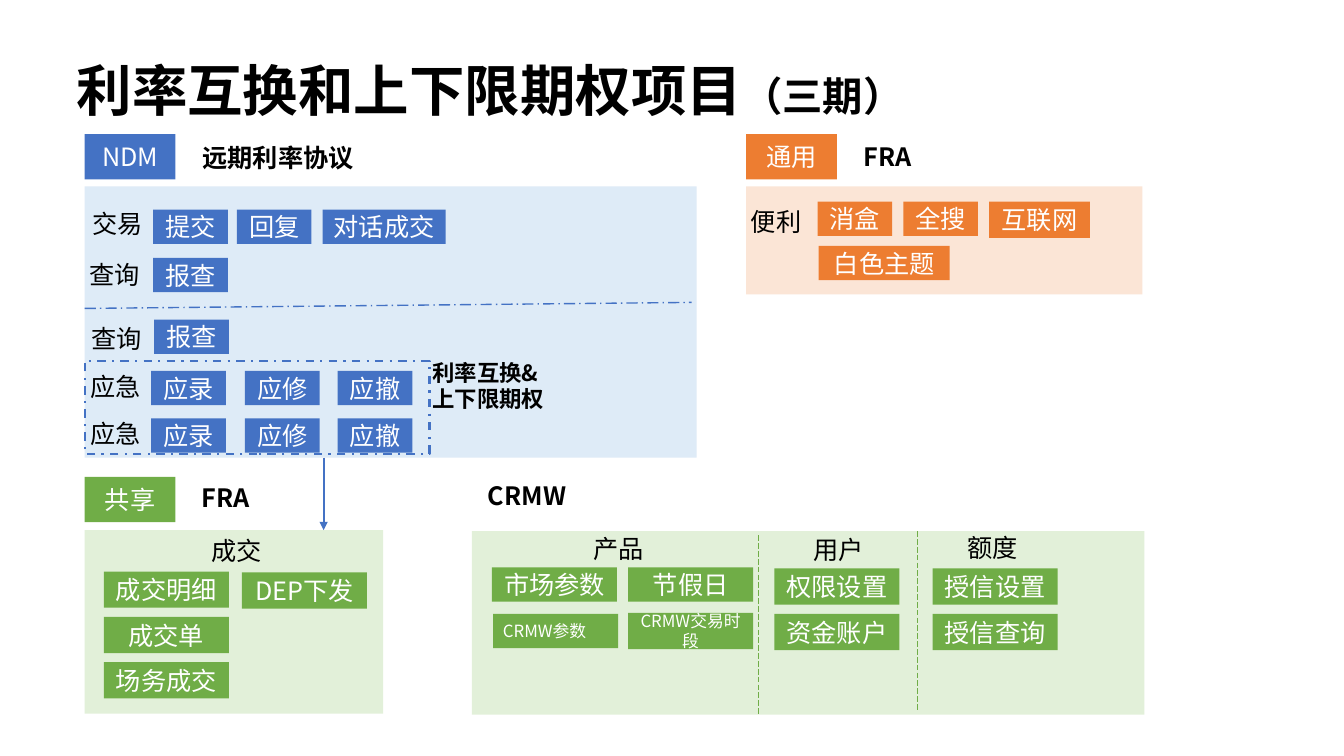
"""Builds the module overview slide for phase three of the rate swap and cap/floor project."""
import pptx
import pptx.dml.color
import pptx.enum.dml
import pptx.enum.shapes
import pptx.enum.text
import pptx.oxml
import pptx.oxml.ns
import pptx.util

Inches = pptx.util.Inches
Pt = pptx.util.Pt
RGBColor = pptx.dml.color.RGBColor
ALIGN = pptx.enum.text.PP_ALIGN
DASH = pptx.enum.dml.MSO_LINE
qn = pptx.oxml.ns.qn

BLACK = RGBColor(0x00, 0x00, 0x00)
WHITE = RGBColor(0xFF, 0xFF, 0xFF)
BLUE = RGBColor(0x44, 0x72, 0xC4)
ORANGE = RGBColor(0xED, 0x7D, 0x31)
GREEN = RGBColor(0x70, 0xAD, 0x47)
PALE_BLUE = RGBColor(0xDE, 0xEB, 0xF7)
PALE_ORANGE = RGBColor(0xFB, 0xE5, 0xD6)
PALE_GREEN = RGBColor(0xE2, 0xF0, 0xD9)


class Board:
    font = "Noto Sans CJK SC"

    def __init__(self, slide):
        self.slide = slide

    def style(self, font, size, color, bold=False):
        font.name, font.size, font.bold = self.font, Pt(size), bold
        font.color.rgb = color

    def east_asian(self, p):
        for latin in list(p._p.iter(qn("a:latin"))):
            ea = pptx.oxml.parse_xml(
                f'<a:ea {pptx.oxml.ns.nsdecls("a")} typeface="{self.font}"/>')
            latin.addnext(ea)

    def title(self, runs):
        sp = self.slide.shapes.title
        sp.left, sp.top = Inches(0.66), Inches(0.61)
        sp.width, sp.height = Inches(11.5), Inches(0.63)
        tf = sp.text_frame
        tf.auto_size = pptx.enum.text.MSO_AUTO_SIZE.NONE
        tf.vertical_anchor = pptx.enum.text.MSO_ANCHOR.MIDDLE
        p = tf.paragraphs[0]
        p.alignment, p.line_spacing = ALIGN.LEFT, 0.9
        for text, size in runs:
            r = p.add_run()
            r.text = text
            self.style(r.font, size, BLACK, True)
        self.east_asian(p)

    def rect(self, x, y, w, h, fill=None):
        sp = self.slide.shapes.add_shape(
            pptx.enum.shapes.MSO_SHAPE.RECTANGLE,
            Inches(x), Inches(y), Inches(w), Inches(h))
        sp.shadow.inherit = False
        sp.line.fill.background()
        if fill is None:
            sp.fill.background()
        else:
            sp.fill.solid()
            sp.fill.fore_color.rgb = fill
        return sp

    def frame(self, x, y, w, h, color):
        line = self.rect(x, y, w, h).line
        line.color.rgb, line.width, line.dash_style = color, Pt(1.5), DASH.DASH_DOT

    def tag(self, text, x, y, w, h, fill, size=18, align=ALIGN.CENTER):
        tf = self.rect(x, y, w, h, fill).text_frame
        tf.word_wrap = True
        tf.vertical_anchor = pptx.enum.text.MSO_ANCHOR.MIDDLE
        p = tf.paragraphs[0]
        p.text, p.alignment = text, align
        self.style(p.font, size, WHITE)
        self.east_asian(p)

    def label(self, text, x, y, w=0.71, h=0.4, size=18, bold=False):
        tf = self.slide.shapes.add_textbox(
            Inches(x), Inches(y), Inches(w), Inches(h)).text_frame
        tf.word_wrap = True
        tf.auto_size = pptx.enum.text.MSO_AUTO_SIZE.SHAPE_TO_FIT_TEXT
        p = tf.paragraphs[0]
        p.text = text
        self.style(p.font, size, BLACK, bold)
        self.east_asian(p)

    def connector(self, x1, y1, x2, y2, color, width, dash=None, arrow=False):
        cxn = self.slide.shapes.add_connector(
            pptx.enum.shapes.MSO_CONNECTOR.STRAIGHT,
            Inches(x1), Inches(y1), Inches(x2), Inches(y2))
        cxn.line.color.rgb, cxn.line.width = color, Pt(width)
        if dash is not None:
            cxn.line.dash_style = dash
        sp_pr = cxn._element.spPr
        if arrow:
            tail = pptx.oxml.ns.qn("a:tailEnd")
            sp_pr.find(qn("a:ln")).makeelement(tail)
            pptx_tail = pptx.oxml.parse_xml(
                f'<a:tailEnd {pptx.oxml.ns.nsdecls("a")} type="triangle"/>')
            sp_pr.find(qn("a:ln")).append(pptx_tail)
        sp_pr.append(pptx.oxml.parse_xml(f'<a:effectLst {pptx.oxml.ns.nsdecls("a")}/>'))


def main():
    prs = pptx.Presentation()
    prs.slide_width, prs.slide_height = Inches(13.33), Inches(7.5)
    board = Board(prs.slides.add_slide(prs.slide_layouts[5]))
    board.title([("利率互换和上下限期权项目", 39.6), ("（三期）", 28.8)])

    for panel in [(0.84, 1.85, 6.07, 2.69, PALE_BLUE), (7.4, 1.85, 3.93, 1.07, PALE_ORANGE),
                  (0.84, 5.26, 2.96, 1.82, PALE_GREEN), (4.68, 5.27, 6.67, 1.82, PALE_GREEN)]:
        board.rect(*panel)

    for text, x, y, fill in [("NDM", 0.84, 1.33, BLUE), ("通用", 7.4, 1.33, ORANGE),
                             ("共享", 0.84, 4.73, GREEN)]:
        board.tag(text, x, y, 0.9, 0.45, fill)
    for text, x, y, w in [("远期利率协议", 1.91, 1.36, 1.9), ("FRA", 8.47, 1.35, 1.9),
                          ("FRA", 1.9, 4.74, 1.49), ("CRMW", 4.74, 4.72, 1.06)]:
        board.label(text, x, y, w, bold=True)

    for text, x, y in [("交易", 0.82, 2.02), ("查询", 0.79, 2.52), ("查询", 0.81, 3.16),
                       ("应急", 0.8, 3.63), ("应急", 0.8, 4.1), ("便利", 7.35, 2),
                       ("成交", 2, 5.26), ("产品", 5.79, 5.24), ("用户", 7.97, 5.25),
                       ("额度", 9.5, 5.23)]:
        board.label(text, x, y)

    for text, x, y, w in [("提交", 1.52, 2.08, 0.74), ("回复", 2.35, 2.08, 0.74),
                          ("对话成交", 3.2, 2.08, 1.22), ("报查", 1.52, 2.56, 0.74),
                          ("报查", 1.53, 3.17, 0.74)]:
        board.tag(text, x, y, w, 0.34, BLUE)
    for y in (3.68, 4.15):
        for text, x in [("应录", 1.5), ("应修", 2.43), ("应撤", 3.35)]:
            board.tag(text, x, y, 0.74, 0.34, BLUE)

    for text, x, y, w, h in [("消盒", 8.11, 2, 0.74, 0.34), ("全搜", 8.96, 2, 0.74, 0.34),
                             ("互联网", 9.81, 2, 1, 0.36), ("白色主题", 8.12, 2.44, 1.3, 0.34)]:
        board.tag(text, x, y, w, h, ORANGE)

    green_columns = [(1.03, 5.67, ["成交明细", "成交单", "场务成交"]), (2.4, 5.68, ["DEP下发"]),
                     (7.68, 5.64, ["权限设置", "资金账户"]), (9.25, 5.64, ["授信设置", "授信查询"])]
    for x, top, names in green_columns:
        for row, text in enumerate(names):
            board.tag(text, x, top + 0.45 * row, 1.24, 0.36, GREEN)
    board.tag("市场参数", 4.88, 5.63, 1.24, 0.34, GREEN)
    board.tag("节假日", 6.23, 5.63, 1.24, 0.34, GREEN)
    board.tag("CRMW参数", 4.89, 6.09, 1.24, 0.34, GREEN, 12, ALIGN.JUSTIFY)
    board.tag("CRMW交易时段", 6.23, 6.08, 1.24, 0.36, GREEN, 12)

    board.frame(0.84, 3.58, 3.42, 0.92, BLUE)
    board.label("利率互换&上下限期权", 4.19, 3.51, 1.37, 0.64, 16, True)
    board.connector(0.84, 3.06, 6.86, 3, BLUE, 1, DASH.LONG_DASH_DOT)
    board.connector(7.52, 5.31, 7.52, 7.09, GREEN, 0.5, DASH.LONG_DASH)
    board.connector(9.1, 5.27, 9.1, 7.06, GREEN, 0.5, DASH.LONG_DASH)
    board.connector(3.21, 4.54, 3.21, 5.26, BLUE, 1.5, arrow=True)
    prs.save("out.pptx")


if __name__ == "__main__":
    main()
